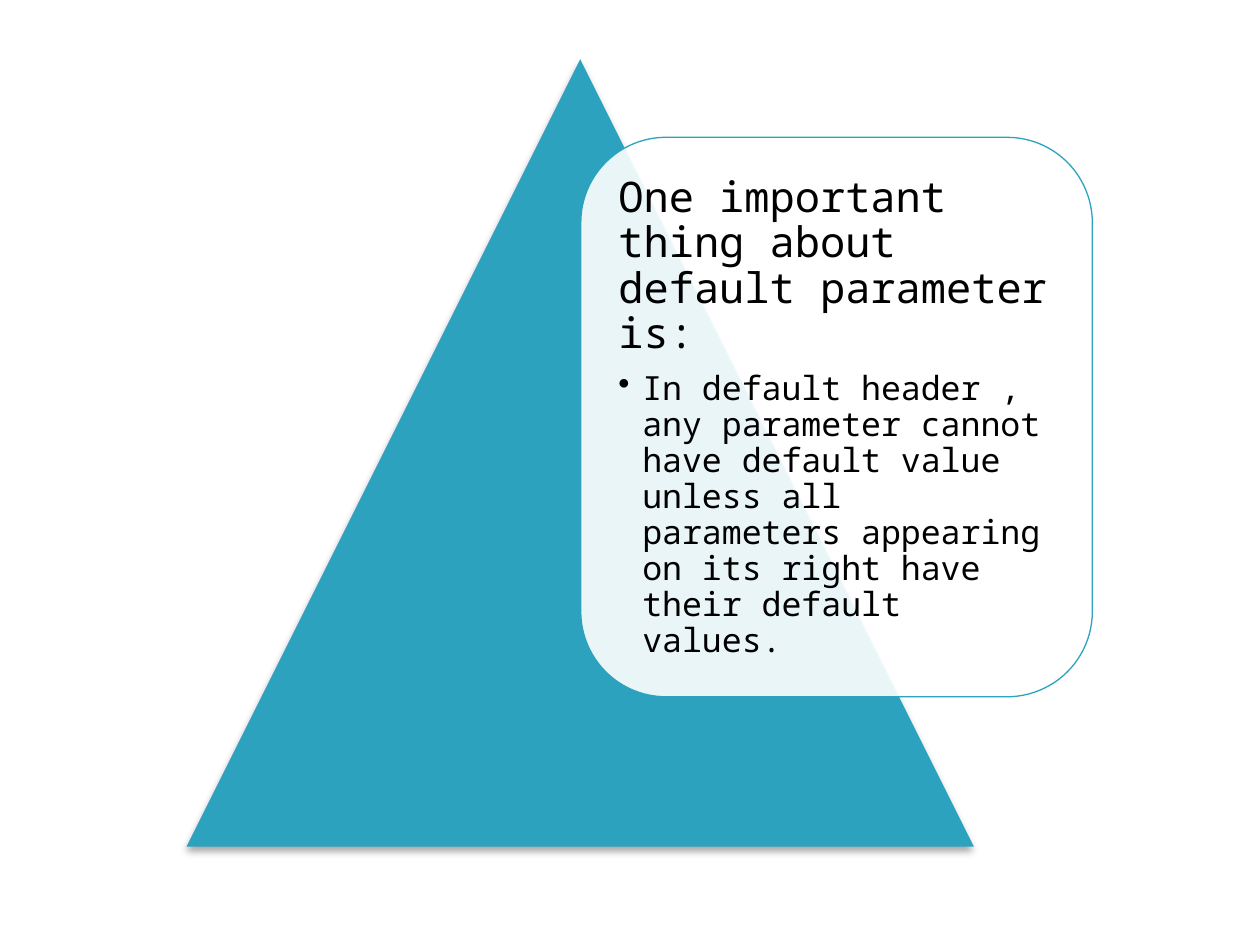
import pptx
import pptx.dml.color
import pptx.enum.shapes
import pptx.enum.text
import pptx.oxml
import pptx.oxml.ns
import pptx.util
from pptx.util import Inches

COLORS = {"teal": "2DA2BF", "panel": "FFFFFF", "text": "000000", "shadow": "000000"}
SHAPES = pptx.enum.shapes.MSO_SHAPE
NAMESPACE = pptx.oxml.ns.nsdecls("a")


def color(name):
    return pptx.dml.color.RGBColor.from_string(COLORS[name])


def set_attributes(target, values):
    for name, value in values.items():
        setattr(target, name, value)


class SlideBuilder:
    font_name = "Noto Sans Mono"
    line_spacing = 0.9
    inset = Inches(0.1)
    bullet_indent = Inches(0.19)

    def __init__(self, slide):
        self.slide = slide

    def add_shape(self, kind, box, fill, line=None, opacity=100):
        shape = self.slide.shapes.add_shape(kind, *map(Inches, box))
        shape.shadow.inherit = False
        shape.fill.solid()
        shape.fill.fore_color.rgb = color(fill)
        if opacity < 100:
            fill_color = shape.fill._xPr.find(".//" + pptx.oxml.ns.qn("a:srgbClr"))
            fill_color.append(pptx.oxml.parse_xml(
                f'<a:alpha {NAMESPACE} val="{opacity * 1000}"/>'))
        if line:
            shape.line.color.rgb = color(line)
            shape.line.width = pptx.util.Pt(0.75)
        else:
            shape.line.fill.background()
        return shape

    def add_shadow(self, shape, blur, distance, angle, opacity):
        effects = shape._element.spPr.find(pptx.oxml.ns.qn("a:effectLst"))
        effects.append(pptx.oxml.parse_xml(
            f'<a:outerShdw {NAMESPACE} blurRad="{pptx.util.Pt(blur)}" '
            f'dist="{pptx.util.Pt(distance)}" dir="{angle * 60000}" rotWithShape="0">'
            f'<a:srgbClr val="{COLORS["shadow"]}"><a:alpha val="{opacity * 1000}"/>'
            '</a:srgbClr></a:outerShdw>'))

    def add_text(self, box, paragraphs):
        frame = self.slide.shapes.add_textbox(*map(Inches, box)).text_frame
        set_attributes(frame, {
            "word_wrap": True,
            "vertical_anchor": pptx.enum.text.MSO_ANCHOR.MIDDLE,
            "margin_left": self.inset, "margin_top": self.inset,
            "margin_right": self.inset, "margin_bottom": self.inset,
        })
        for index, (text, size, space_share, bulleted) in enumerate(paragraphs):
            paragraph = frame.add_paragraph() if index else frame.paragraphs[0]
            set_attributes(paragraph, {
                "level": int(bulleted),
                "line_spacing": self.line_spacing,
                "space_after": pptx.util.Pt(size * space_share),
            })
            run = paragraph.add_run()
            run.text = text
            set_attributes(run.font, {"name": self.font_name, "size": pptx.util.Pt(size)})
            run.font.color.rgb = color("text")
            if bulleted:
                self.add_bullet(paragraph)

    def add_bullet(self, paragraph):
        properties = paragraph._p.get_or_add_pPr()
        properties.set("marL", str(self.bullet_indent))
        properties.set("indent", str(-self.bullet_indent))
        properties.append(pptx.oxml.parse_xml(f'<a:buChar {NAMESPACE} char="•"/>'))


def main():
    presentation = pptx.Presentation()
    set_attributes(presentation, {"slide_width": Inches(10), "slide_height": Inches(7.5)})
    builder = SlideBuilder(presentation.slides.add_slide(presentation.slide_layouts[6]))

    # Large triangle with a soft shadow below
    triangle = builder.add_shape(SHAPES.ISOSCELES_TRIANGLE, (1.48, 0.47, 6.25, 6.25), "teal")
    builder.add_shadow(triangle, blur=4, distance=3, angle=90, opacity=35)

    # Translucent panel starting at the triangle's centre line
    builder.add_shape(SHAPES.ROUNDED_RECTANGLE, (4.61, 1.09, 4.06, 4.44), "panel",
                      line="teal", opacity=90)

    # Panel text: wording, size, space after as a share of size, bulleted
    builder.add_text((4.81, 1.29, 3.67, 4.05), [
        ("One important thing about default parameter is:", 24, 0.35, False),
        ("In default header , any parameter cannot have default value unless all "
         "parameters appearing on its right have their default values.", 19, 0.15, True),
    ])

    presentation.save("out.pptx")


if __name__ == "__main__":
    main()
